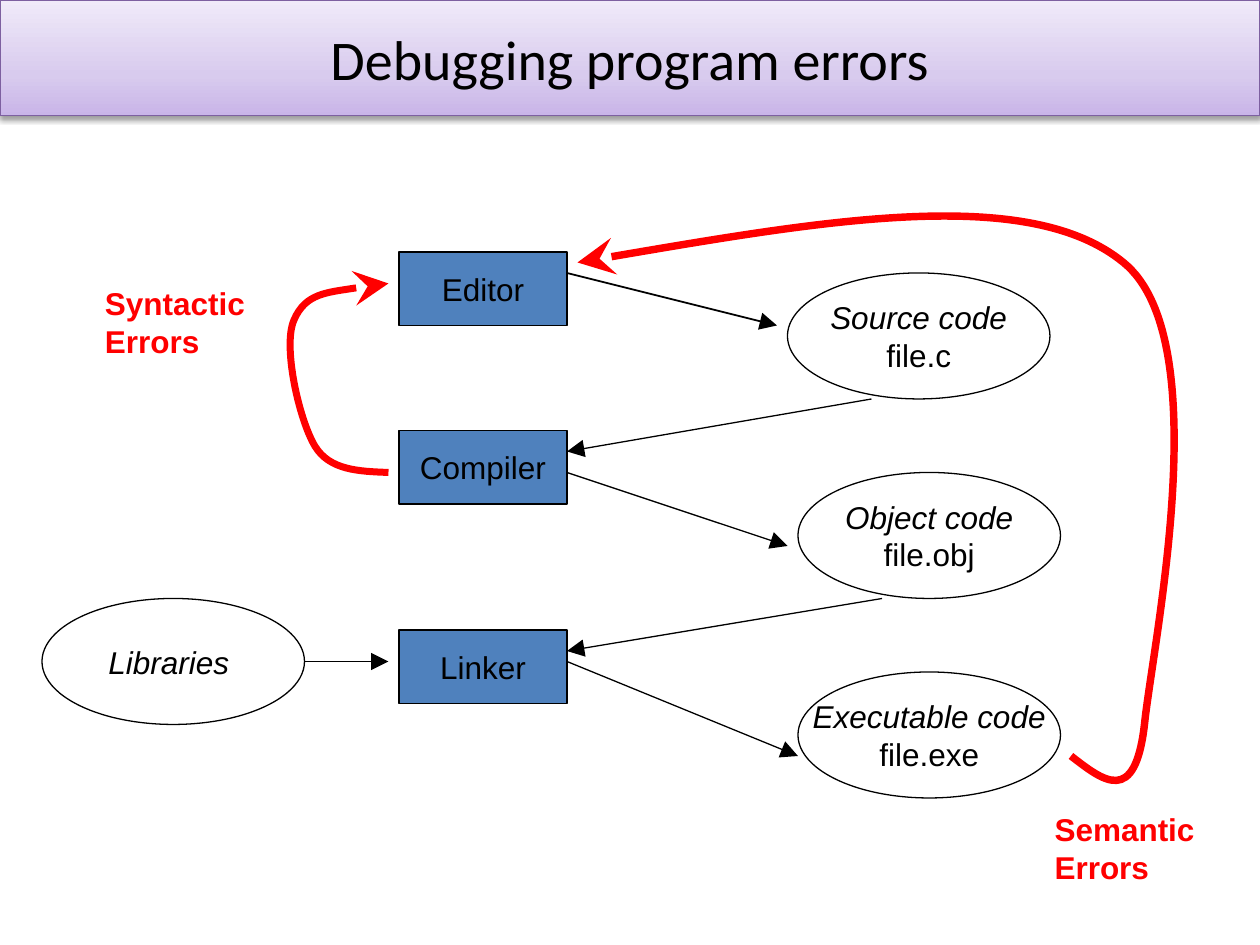
import copy
import pptx
import pptx.util
import pptx.dml.color
import pptx.enum.shapes
import pptx.enum.text
import pptx.oxml.ns
from lxml import etree

COLS, ROWS = 120, 90
WIDE, HIGH = pptx.util.Inches(10), pptx.util.Inches(7.5)
KIND = pptx.enum.shapes.MSO_SHAPE
ALIGN = pptx.enum.text.PP_ALIGN
RED, BLACK, BLUE = "FF0000", "000000", "4F81BD"

TOOLS = [("Editor", 0), ("Compiler", 17), ("Linker", 36)]
FILES = [
    (["Source code", "file.c"], 71, 2),
    (["Object code", "file.obj"], 72, 21),
    (["Executable code", "file.exe"], 72, 40),
    (["Libraries "], 0, 33),
]
ARROWS = [
    ((50, 2), (70, 7), 1),
    ((50, 21), (71, 28), 0.75),
    ((50, 39), (72, 48), 0.75),
    ((79, 14), (50, 19), 0.75),
    ((80, 33), (50, 38), 0.75),
    ((25, 39), (33, 39), 1),
]
SYNTAX = [(29, 21), (26.2, 20.9), (23.4, 20.8), (22, 18.5), (20.5, 16),
          (18.9, 9), (20, 6.5), (21.1, 3.9), (25.1, 3.5), (29, 3)]
MEANING = [(48, 55), (51.1, 57.4), (54.1, 59.8), (55, 52), (55.8, 44.2),
           (62, 15.3), (53, 8), (44, 0.6), (22.6, 4.3), (1, 8)]


def rgb(code):
    return pptx.dml.color.RGBColor.from_string(code)


def place(box, x, y):
    return round((box[0] + x) * WIDE / COLS), round((box[1] + y) * HIGH / ROWS)


def size(cols, rows):
    return round(cols * WIDE / COLS), round(rows * HIGH / ROWS)


def add(parent, tag, **values):
    return etree.SubElement(parent, pptx.oxml.ns.qn("a:" + tag), values)


def stroke(shape, color, width):
    shape.line.color.rgb = rgb(color)
    shape.line.width = pptx.util.Pt(width)


def tip(shape, kind):
    line = shape.line._get_or_add_ln()
    add(line, "round")
    add(line, "tailEnd", type=kind, w="lg", len="lg")


def write(shape, lines, points=18, font="Arial", color=BLACK,
          align=ALIGN.CENTER, bold=False, slant=False):
    frame = shape.text_frame
    frame.word_wrap = False
    frame.vertical_anchor = pptx.enum.text.MSO_ANCHOR.MIDDLE
    frame.text = "\n".join(lines)
    for rank, para in enumerate(frame.paragraphs):
        para.alignment = align
        for run in para.runs:
            run.font.size = pptx.util.Pt(points)
            run.font.name = font
            run.font.color.rgb = rgb(color)
            run.font.bold = bold
            run.font.italic = slant and rank == 0


def header(slide, box):
    bar = slide.shapes.add_shape(KIND.RECTANGLE, *place(box, 0, 0), *size(*box[2:]))
    bar.fill.gradient()
    bar.fill.gradient_angle = 90
    stops = bar._element.spPr.find(".//" + pptx.oxml.ns.qn("a:gsLst"))
    stops.append(copy.deepcopy(stops[0]))
    shades = [(0, "C9B5E8"), (0.35, "D8CBEE"), (1, "F0EAF9")]
    for stop, (spot, shade) in zip(bar.fill.gradient_stops, shades):
        stop.position = spot
        stop.color.rgb = rgb(shade)
    stroke(bar, "7D60A0", 0.75)
    glow = add(add(bar._element.spPr, "effectLst"), "outerShdw",
               blurRad=str(pptx.util.Pt(3.1)), dist=str(pptx.util.Pt(1.6)),
               dir="5400000", rotWithShape="0")
    add(add(glow, "srgbClr", val=BLACK), "alpha", val="38000")
    write(bar, ["Debugging program errors"], 32, "Calibri")


def node(slide, box, kind, spot, span, lines, fill=None):
    shape = slide.shapes.add_shape(kind, *place(box, *spot), *size(*span))
    shape.shadow.inherit = False
    if fill:
        shape.fill.solid()
        shape.fill.fore_color.rgb = rgb(fill)
    else:
        shape.fill.background()
    stroke(shape, BLACK, 0.75)
    write(shape, lines, slant=fill is None)


def flow(slide, box):
    for name, row in TOOLS:
        node(slide, box, KIND.RECTANGLE, (34, row), (16, 7), [name], BLUE)
    for lines, col, row in FILES:
        node(slide, box, KIND.OVAL, (col, row), (25, 12), lines)
    for start, end, width in ARROWS:
        line = slide.shapes.add_connector(
            pptx.enum.shapes.MSO_CONNECTOR.STRAIGHT,
            *place(box, *start), *place(box, *end))
        stroke(line, BLACK, width)
        tip(line, "triangle")
        add(line._element.spPr, "effectLst")


def bend(shape):
    track = shape._element.spPr.find(".//" + pptx.oxml.ns.qn("a:path"))
    legs = track.findall(pptx.oxml.ns.qn("a:lnTo"))
    for start in range(0, len(legs), 3):
        curve = add(track, "cubicBezTo")
        for leg in legs[start:start + 3]:
            curve.append(leg[0])
            track.remove(leg)


def loop(slide, box, knots, width, lines, spot):
    dots = [place(box, *knot) for knot in knots]
    pen = slide.shapes.build_freeform(*dots[0], scale=1.0)
    pen.add_line_segments(dots[1:], close=False)
    curve = pen.convert_to_shape()
    bend(curve)
    curve.shadow.inherit = False
    curve.fill.background()
    stroke(curve, RED, width)
    tip(curve, "stealth")
    label = slide.shapes.add_textbox(*place(box, *spot), *size(15.7, 8.4))
    write(label, lines, color=RED, align=ALIGN.LEFT, bold=True)


def main():
    deck = pptx.Presentation()
    deck.slide_width, deck.slide_height = WIDE, HIGH
    slide = deck.slides.add_slide(deck.slide_layouts[6])
    header(slide, (0, 0, COLS, 11))
    flow(slide, (4, 24))
    loop(slide, (8, 24), SYNTAX, 4, ["Syntactic", "Errors"], (0.8, 2.5))
    loop(slide, (54, 17), MEANING, 4.25, ["Semantic", "Errors"], (45.25, 59.55))
    deck.save("out.pptx")


if __name__ == "__main__":
    main()
